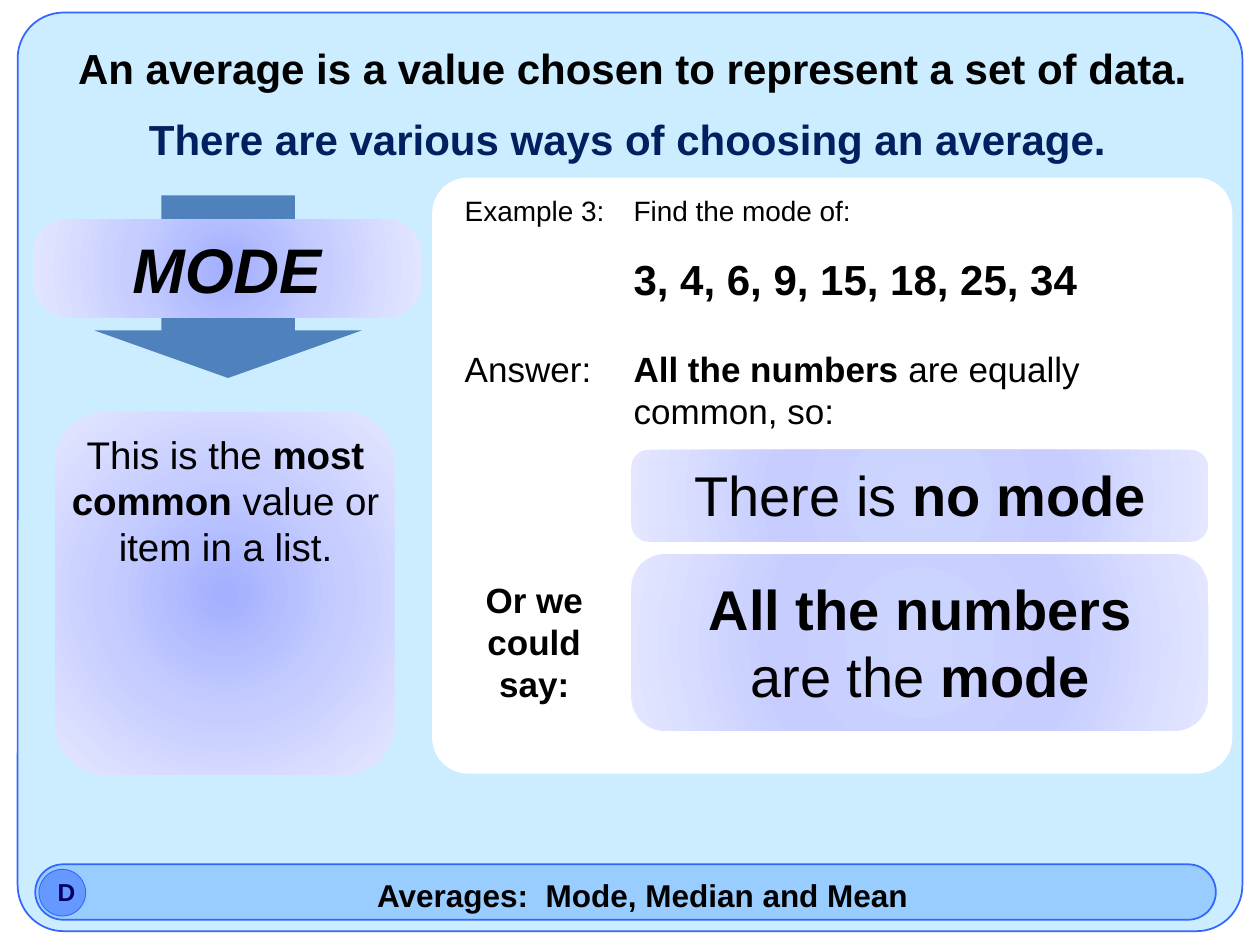
"""Build the slide on averages: data sets with no single mode."""
from lxml.etree import SubElement
from pptx import Presentation
from pptx.dml.color import RGBColor
from pptx.enum.shapes import MSO_SHAPE
from pptx.enum.text import MSO_ANCHOR, MSO_AUTO_SIZE, PP_ALIGN
from pptx.oxml.ns import qn
from pptx.util import Inches, Pt

COLORS = {
    "black": "000000", "navy": "002060", "indigo": "000066", "white": "FFFFFF",
    "sky": "CCECFF", "bar": "99CCFF", "badge": "6699FF", "outline": "3366FF",
    "arrow": "4F81BD", "strong": "A3AFFF", "soft": "CDD5FF",
    "middle": "C7CEFF", "edge": "E4E7FF",
}
LABEL_LEFT, LABEL_WIDTH = 3.59, 1.56
CONTENT_LEFT, CONTENT_WIDTH = 4.93, 4.72
ANSWER_LEFT, ANSWER_WIDTH = 5.01, 4.58
ROUND = MSO_SHAPE.ROUNDED_RECTANGLE
STRONG_GLOW = ("strong", "middle", "edge")
SOFT_GLOW = ("soft", "middle", "edge")

# name: preset, (left, top, width, height), adjustments, fill, line width
PANELS = {
    "frame": (ROUND, (0.14, 0.1, 9.72, 7.29), [0.05], "sky", 1),
    "example": (ROUND, (3.43, 1.41, 6.35, 4.73), [0.06], "white", 0),
    "no mode": (ROUND, (ANSWER_LEFT, 3.57, ANSWER_WIDTH, 0.73), [0.19], SOFT_GLOW, 0),
    "all numbers": (ROUND, (ANSWER_LEFT, 4.4, ANSWER_WIDTH, 1.4), [0.19], SOFT_GLOW, 0),
    "footer": (ROUND, (0.28, 6.86, 9.37, 0.44), [0.5], "bar", 1),
    "badge": (MSO_SHAPE.OVAL, (0.31, 6.9, 0.37, 0.37), [], "badge", 0.5),
    "definition": (ROUND, (0.44, 3.27, 2.69, 2.88), [0.15], STRONG_GLOW, 0),
    "arrow": (MSO_SHAPE.DOWN_ARROW, (0.75, 1.55, 2.12, 1.45), [0.5, 0.26], "arrow", 0),
    "mode": (ROUND, (0.26, 1.74, 3.09, 0.78), [0.36], STRONG_GLOW, 0),
}

TITLE = ((0.25, 0.29, 9.54, 0.5), 24, "black", True,
         [[("An average is a value chosen to represent a set of data.", True)]])

# name: box, size, color, centred, paragraphs of (text, bold) runs
TEXTS = {
    "subtitle": ((0.22, 0.85, 9.52, 0.5), 24, "navy", True,
                 [[("There are various ways of choosing an average.", True)]]),
    "mode": ((0.29, 1.78, 3.02, 0.71), 36, "black", True, [[("MODE", True)]]),
    "definition": ((0.47, 3.37, 2.64, 1.21), 22, "black", True,
                   [[("This is the ", False), ("most common", True), (" value or item in a list.", False)]]),
    "example label": ((LABEL_LEFT, 1.49, LABEL_WIDTH, 0.37), 16, "black", False, [[("Example 3:", False)]]),
    "question": ((CONTENT_LEFT, 1.49, CONTENT_WIDTH, 0.37), 16, "black", False, [[("Find the mode of:", False)]]),
    "data": ((CONTENT_LEFT, 1.96, CONTENT_WIDTH, 0.5), 24, "black", False,
             [[("3, 4, 6, 9, 15, 18, 25, 34", True)]]),
    "answer label": ((LABEL_LEFT, 2.71, LABEL_WIDTH, 0.44), 20, "black", False, [[("Answer:", False)]]),
    "reason": ((CONTENT_LEFT, 2.71, CONTENT_WIDTH, 0.77), 20, "black", False,
               [[("All the numbers ", True), ("are equally common, so:", False)]]),
    "no mode": ((5.14, 3.61, 4.33, 0.64), 32, "black", True, [[("There is ", False), ("no mode", True)]]),
    "all numbers": ((5.19, 4.51, 4.23, 1.18), 32, "black", True,
                    [[("All the numbers", True)], [("are the ", False), ("mode", True)]]),
    "alternative": ((3.48, 4.54, 1.52, 1.11), 20, "black", True, [[("Or we could say:", True)]]),
    "footer": ((0.71, 6.9, 8.78, 0.4), 18, "black", True, [[("Averages:  Mode, Median and Mean", True)]]),
    "badge": ((0.36, 6.91, 0.28, 0.34), 14, "indigo", True, [[("D", True)]]),
}
ITALIC = {"mode"}


def set_values(target, values):
    for name, value in values.items():
        setattr(target, name, value)


def rgb(color):
    return RGBColor.from_string(COLORS[color])


def fill_radial(shape, colors):
    shape.fill.gradient()
    gradient = shape._element.spPr.find(qn("a:gradFill"))
    for child in list(gradient):
        gradient.remove(child)
    stops = SubElement(gradient, qn("a:gsLst"))
    for index, color in enumerate(colors):
        stop = SubElement(stops, qn("a:gs"), pos=str(index * 50000))
        SubElement(stop, qn("a:srgbClr"), val=COLORS[color])
    radial = SubElement(gradient, qn("a:path"), path="circle")
    SubElement(radial, qn("a:fillToRect"), dict.fromkeys("ltrb", "50000"))


def add_panel(slide, preset, box, adjustments, fill, line_width):
    shape = slide.shapes.add_shape(preset, *map(Inches, box))
    shape.shadow.inherit = False
    for index, value in enumerate(adjustments):
        shape.adjustments[index] = value
    if isinstance(fill, tuple):
        fill_radial(shape, fill)
    else:
        shape.fill.solid()
        shape.fill.fore_color.rgb = rgb(fill)
    if line_width:
        shape.line.color.rgb = rgb("outline")
        shape.line.width = Pt(line_width)
    else:
        shape.line.fill.background()


def write_text(shape, box, size, color, centred, paragraphs, italic=False):
    left, top, width, height = map(Inches, box)
    set_values(shape, {"left": left, "top": top, "width": width, "height": height})
    frame = shape.text_frame
    set_values(frame, {"word_wrap": True, "auto_size": MSO_AUTO_SIZE.SHAPE_TO_FIT_TEXT,
                       "vertical_anchor": MSO_ANCHOR.TOP})
    for index, runs in enumerate(paragraphs):
        paragraph = frame.add_paragraph() if index else frame.paragraphs[0]
        paragraph.alignment = PP_ALIGN.CENTER if centred else PP_ALIGN.LEFT
        for text, bold in runs:
            run = paragraph.add_run()
            run.text = text
            set_values(run.font, {"name": "Arial", "size": Pt(size), "bold": bold, "italic": italic})
            run.font.color.rgb = rgb(color)


def main():
    presentation = Presentation()
    set_values(presentation, {"slide_width": Inches(10), "slide_height": Inches(7.5)})
    slide = presentation.slides.add_slide(presentation.slide_layouts[5])
    for panel in PANELS.values():
        add_panel(slide, *panel)

    title = slide.shapes.title
    write_text(title, *TITLE)
    slide.shapes._spTree.append(title._element)

    for name, values in TEXTS.items():
        text_box = slide.shapes.add_textbox(*map(Inches, values[0]))
        write_text(text_box, *values, italic=name in ITALIC)
    presentation.save("out.pptx")


if __name__ == "__main__":
    main()
